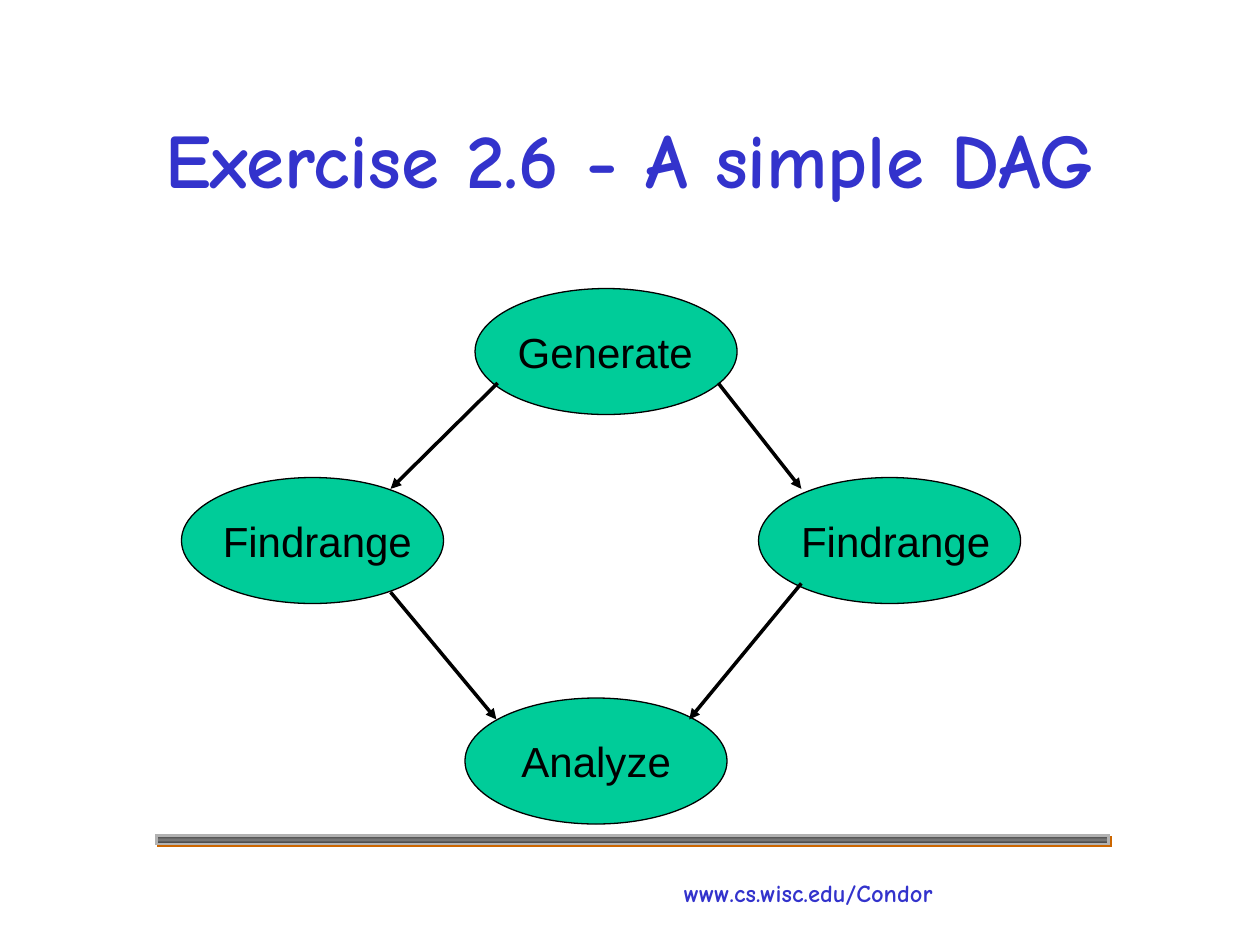
from copy import deepcopy

from lxml.etree import SubElement
from pptx import Presentation
from pptx.dml.color import RGBColor
from pptx.enum.shapes import MSO_CONNECTOR, MSO_SHAPE
from pptx.enum.text import MSO_ANCHOR, MSO_AUTO_SIZE, PP_ALIGN
from pptx.oxml.ns import qn
from pptx.util import Inches, Pt

COLORS = {
    "title": "3333CC",
    "node": "00CC99",
    "ink": "000000",
    "bar_edge": "363636",
    "bar_middle": "777777",
    "bar_line": "B2B2B2",
    "bar_shadow": "CC6600",
}
NODE_WIDTH, NODE_HEIGHT = 2.08, 1
NODES = [
    ("Generate", 3.77, 2.29, 0.24, 1.59),
    ("Findrange", 1.44, 3.79, 0.23, 1.7),
    ("Findrange", 6.02, 3.79, 0.24, 1.7),
    ("Analyze", 3.69, 5.54, 0.35, 1.39),
]
ARROWS = [
    ((3.95, 3.04), (3.1, 3.88)),
    ((3.1, 4.7), (3.94, 5.71)),
    ((5.7, 3.04), (6.36, 3.88)),
    ((6.36, 4.63), (5.47, 5.71)),
]


def color(name):
    """Return the named colour."""
    return RGBColor.from_string(COLORS[name])


def add_text(page, box, text, size, font="Arial", ink="ink", bold=False):
    """Place one paragraph of unwrapped text and return its shape."""
    shape = page.shapes.add_textbox(*map(Inches, box))
    shape.text_frame.word_wrap = False
    shape.text_frame.auto_size = MSO_AUTO_SIZE.SHAPE_TO_FIT_TEXT
    para = shape.text_frame.paragraphs[0]
    para.text = text
    para.font.name = font
    para.font.size = Pt(size)
    para.font.bold = bold
    para.font.color.rgb = color(ink)
    return shape


def add_title(page, box, text):
    """Place the centred title at the bottom of its box."""
    frame = add_text(page, box, text, 44, "Comic Neue", "title", True).text_frame
    frame.word_wrap = True
    frame.auto_size = MSO_AUTO_SIZE.NONE
    frame.vertical_anchor = MSO_ANCHOR.BOTTOM
    frame.paragraphs[0].alignment = PP_ALIGN.CENTER


def add_bar(page, box):
    """Draw the shaded footer bar with its hard shadow."""
    bar = page.shapes.add_shape(MSO_SHAPE.RECTANGLE, *map(Inches, box))
    bar.line.color.rgb = color("bar_line")
    bar.line.width = Pt(1.5)
    bar.fill.gradient()
    bar.fill.gradient_angle = 90
    for stop, name in zip(bar.fill.gradient_stops, ("bar_edge", "bar_middle")):
        stop.color.rgb = color(name)
    properties = bar._element.spPr
    SubElement(properties.find(qn("a:ln")), qn("a:miter"), lim="800000")
    stops = properties.find(qn("a:gradFill")).find(qn("a:gsLst"))
    stops.append(deepcopy(stops[0]))
    for stop, position in zip(stops, (0, 50000, 100000)):
        stop.set("pos", str(position))
    bar.shadow.inherit = False
    effects = properties.find(qn("a:effectLst"))
    shadow = SubElement(effects, qn("a:outerShdw"), blurRad="0",
                        dist=str(Pt(1.4)), dir="2700000", algn="ctr", rotWithShape="0")
    SubElement(shadow, qn("a:srgbClr"), val=COLORS["bar_shadow"])


def add_node(page, box, label, indent, label_width):
    """Draw one job ellipse with its label."""
    left, top, width, height = box
    node = page.shapes.add_shape(MSO_SHAPE.OVAL, *map(Inches, box))
    node.shadow.inherit = False
    node.fill.solid()
    node.fill.fore_color.rgb = color("node")
    node.line.color.rgb = color("ink")
    node.line.width = Pt(0.75)
    add_text(page, (left + indent, top + 0.25, label_width, 0.5), label, 24)


def add_arrow(page, start, end):
    """Draw an arrow from one point to another."""
    arrow = page.shapes.add_connector(MSO_CONNECTOR.STRAIGHT, *map(Inches, start + end))
    arrow.line.color.rgb = color("ink")
    arrow.line.width = Pt(2)
    SubElement(arrow.line._get_or_add_ln(), qn("a:tailEnd"), type="triangle")
    SubElement(arrow._element.spPr, qn("a:effectLst"))


def add_graph(page):
    """Draw the job graph."""
    for label, left, top, indent, label_width in NODES:
        add_node(page, (left, top, NODE_WIDTH, NODE_HEIGHT), label, indent, label_width)
    for start, end in ARROWS:
        add_arrow(page, start, end)


def main():
    """Build and save the deck."""
    deck = Presentation()
    deck.slide_width, deck.slide_height = Inches(10), Inches(7.5)
    page = deck.slides.add_slide(deck.slide_layouts[6])
    add_text(page, (5.33, 6.92, 2.18, 0.34), "www.cs.wisc.edu/Condor", 14,
             "Comic Neue", "title", True)
    add_bar(page, (1.24, 6.63, 7.56, 0.07))
    add_title(page, (0.75, 0.1, 8.5, 1.57), "Exercise 2.6 - A simple DAG")
    add_graph(page)
    deck.save("out.pptx")


if __name__ == "__main__":
    main()
